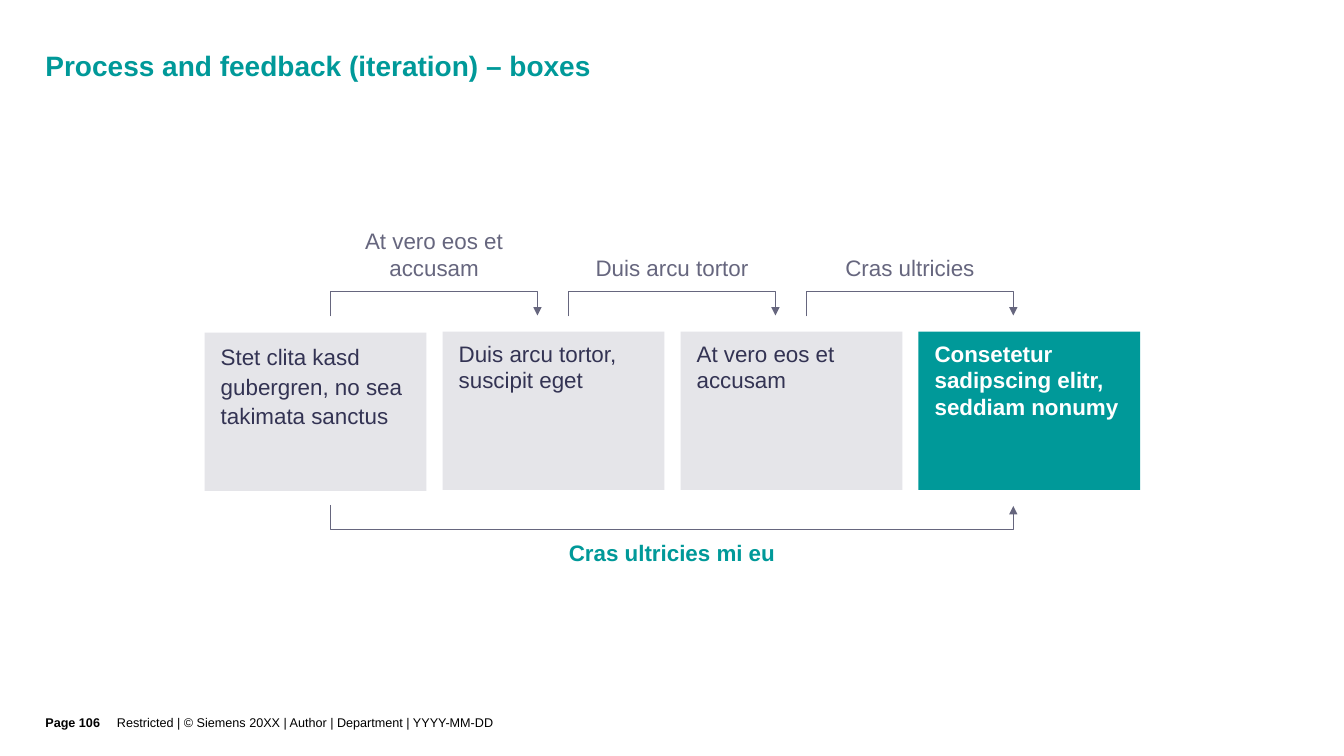
"""Build the slide showing a four-step process with feedback arrows."""
from dataclasses import dataclass

from lxml.etree import SubElement
from pptx import Presentation
from pptx.dml.color import RGBColor
from pptx.enum.shapes import MSO_CONNECTOR, MSO_SHAPE
from pptx.enum.text import MSO_ANCHOR, MSO_AUTO_SIZE, PP_ALIGN
from pptx.oxml.ns import qn
from pptx.shapes.autoshape import Shape
from pptx.slide import Slide
from pptx.util import Emu, Pt

EMU_PER_PX = 9144
TEAL = RGBColor(0x00, 0x99, 0x99)
GREY = RGBColor(0x66, 0x66, 0x7E)
PALE = RGBColor(0xE5, 0xE5, 0xE9)
NAVY = RGBColor(0x33, 0x33, 0x53)
WHITE = RGBColor(0xFF, 0xFF, 0xFF)
BLACK = RGBColor(0x00, 0x00, 0x00)

STEP_LEFT, STEP_PITCH = 203, 236
ARROW_LEFT, ARROW_SPAN, ARROW_RISE = 328, 205, 25
LABEL_BOTTOM = 287
LABEL_INSETS = (8, 8, 8, 8)
FOOTER_INSETS = (0, 0, 0, 7)


@dataclass(frozen=True)
class TextStyle:
    """Describe the look of a block of text."""

    size: int
    color: RGBColor
    insets: tuple[int, int, int, int]
    bold: bool = False
    align: PP_ALIGN = PP_ALIGN.LEFT
    anchor: MSO_ANCHOR = MSO_ANCHOR.TOP
    grow: bool = False


@dataclass(frozen=True)
class Caption:
    """Describe a text box and its place."""

    text: str
    left: int
    top: int
    width: int
    height: int
    style: TextStyle
    line_spacing: float | None = None


@dataclass(frozen=True)
class Step:
    """Describe one process box."""

    text: str
    top: int = 329
    fill: RGBColor = PALE
    color: RGBColor = NAVY
    bold: bool = False
    line_spacing: float | None = None


@dataclass(frozen=True)
class Label:
    """Describe the text above one forward arrow."""

    text: str
    height: int = 43


LABEL_STYLE = TextStyle(16, GREY, LABEL_INSETS, align=PP_ALIGN.CENTER,
                        anchor=MSO_ANCHOR.BOTTOM, grow=True)
FEEDBACK_STYLE = TextStyle(16, TEAL, LABEL_INSETS, bold=True,
                           align=PP_ALIGN.CENTER, grow=True)

STEPS = (
    Step("Stet clita kasd gubergren, no sea takimata sanctus", top=330, line_spacing=1.1),
    Step("Duis arcu tortor, suscipit eget"),
    Step("At vero eos et accusam"),
    Step("Consetetur sadipscing elitr, seddiam nonumy", fill=TEAL, color=WHITE, bold=True),
)
LABELS = (
    Label("At vero eos et accusam", height=70),
    Label("Duis arcu tortor"),
    Label("Cras ultricies"),
)
FEEDBACK_SPAN = (len(LABELS) - 1) * STEP_PITCH + ARROW_SPAN
CAPTIONS = (
    Caption("Process and feedback (iteration) – boxes", 45, 52, 1079, 63,
            TextStyle(20, TEAL, (0, 0, 35, 2), bold=True), 0.9),
    Caption("Cras ultricies mi eu", ARROW_LEFT, 527, FEEDBACK_SPAN, 43, FEEDBACK_STYLE),
    Caption("Page 106", 45, 690, 71, 60,
            TextStyle(9, BLACK, FOOTER_INSETS, bold=True, anchor=MSO_ANCHOR.MIDDLE)),
    Caption("Restricted | © Siemens 20XX | Author | Department | YYYY-MM-DD",
            116, 690, 1008, 60,
            TextStyle(9, BLACK, FOOTER_INSETS, anchor=MSO_ANCHOR.MIDDLE)),
)


def px(length: int) -> Emu:
    """Turn a length in px into EMU."""
    return Emu(length * EMU_PER_PX)


def write_text(shape: Shape, text: str, style: TextStyle, line_spacing: float | None) -> None:
    """Put styled text into a shape."""
    frame = shape.text_frame
    frame.text = text
    frame.word_wrap = True
    frame.auto_size = MSO_AUTO_SIZE.SHAPE_TO_FIT_TEXT if style.grow else MSO_AUTO_SIZE.NONE
    frame.vertical_anchor = style.anchor
    (frame.margin_left, frame.margin_top,
     frame.margin_right, frame.margin_bottom) = map(px, style.insets)
    paragraph = frame.paragraphs[0]
    paragraph.alignment = style.align
    paragraph.line_spacing = line_spacing
    font = paragraph.runs[0].font
    font.name = "Arial"
    font.size = Pt(style.size)
    font.bold = style.bold
    font.color.rgb = style.color


def draw_caption(slide: Slide, caption: Caption) -> None:
    """Draw a text box."""
    shape = slide.shapes.add_textbox(px(caption.left), px(caption.top),
                                     px(caption.width), px(caption.height))
    write_text(shape, caption.text, caption.style, caption.line_spacing)


def draw_step(slide: Slide, step: Step, left: int) -> None:
    """Draw a process box."""
    shape = slide.shapes.add_shape(MSO_SHAPE.RECTANGLE, px(left), px(step.top),
                                   px(220), px(157))
    shape.shadow.inherit = False
    shape.fill.solid()
    shape.fill.fore_color.rgb = step.fill
    shape.line.fill.background()
    style = TextStyle(16, step.color, (16, 8, 16, 8), bold=step.bold)
    write_text(shape, step.text, style, step.line_spacing)


def draw_arrow(slide: Slide, left: int, top: int, span: int, feedback: bool = False) -> None:
    """Draw a bracket arrow, bulging upwards or, for feedback, downwards."""
    x, y = left + span // 2, top - span // 2
    start_y, end_y = (y, y + span) if feedback else (y + span, y)
    connector = slide.shapes.add_connector(MSO_CONNECTOR.ELBOW, px(x + 1), px(start_y),
                                           px(x), px(end_y))
    connector.line.color.rgb = GREY
    connector.line.width = Pt(1)
    properties = connector._element.spPr
    quarter_turns = 3 if feedback else 1
    properties.find(qn("a:xfrm")).set("rot", str(quarter_turns * 5400000))
    adjustments = properties.find(qn("a:prstGeom")).find(qn("a:avLst"))
    SubElement(adjustments, qn("a:gd"), name="adj1", fmla=f"val {ARROW_RISE * 100000}")
    SubElement(properties.find(qn("a:ln")), qn("a:tailEnd"), type="triangle")
    SubElement(properties, qn("a:effectLst"))


def main() -> None:
    """Build and save the presentation."""
    presentation = Presentation()
    presentation.slide_width, presentation.slide_height = px(1333), px(750)
    slide = presentation.slides.add_slide(presentation.slide_layouts[6])
    for caption in CAPTIONS:
        draw_caption(slide, caption)
    for index, step in enumerate(STEPS):
        draw_step(slide, step, STEP_LEFT + index * STEP_PITCH)
    for index, label in enumerate(LABELS):
        left = ARROW_LEFT + index * STEP_PITCH
        draw_arrow(slide, left, 313, ARROW_SPAN)
        draw_caption(slide, Caption(label.text, left, LABEL_BOTTOM - label.height,
                                    ARROW_SPAN, label.height, LABEL_STYLE))
    draw_arrow(slide, ARROW_LEFT, 501, FEEDBACK_SPAN, feedback=True)
    presentation.save("out.pptx")


if __name__ == "__main__":
    main()
